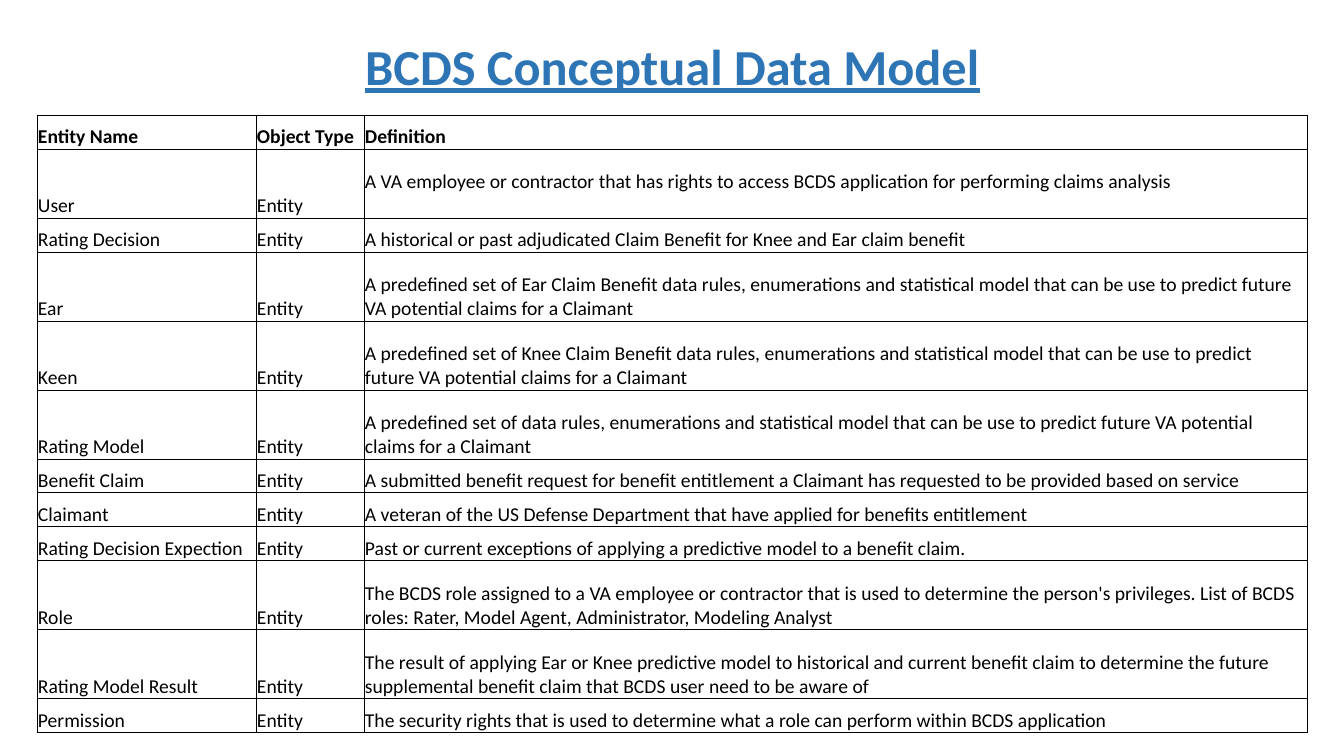
from lxml import etree
from pptx import Presentation
from pptx.dml.color import RGBColor
from pptx.enum.text import MSO_ANCHOR as Anchor, PP_ALIGN as Align
from pptx.oxml.ns import qn
from pptx.util import Pt

PX = 914400 / 100.8
INK, BLUE = "000000", "2E75B6"
COLS = [219, 108, 943]
LOW, HIGH = 34, 69  # row heights for one and two lines
LINE = 24

HEAD = ["Entity Name", "Object Type", "Definition"]
ITEMS = [
    (HIGH, "User", "A VA employee or contractor that has rights to access BCDS application for performing claims analysis"),
    (LOW, "Rating Decision", "A historical or past adjudicated Claim Benefit for Knee and Ear claim benefit"),
    (HIGH, "Ear", "A predefined set of Ear Claim Benefit data rules, enumerations and statistical model that can be use to predict future VA potential claims for a Claimant"),
    (HIGH, "Keen", "A predefined set of Knee Claim Benefit data rules, enumerations and statistical model that can be use to predict future VA potential claims for a Claimant"),
    (HIGH, "Rating Model", "A predefined set of data rules, enumerations and statistical model that can be use to predict future VA potential claims for a Claimant"),
    (LOW, "Benefit Claim", "A submitted benefit request for benefit entitlement a Claimant has requested to be provided based on service"),
    (LOW, "Claimant", "A veteran of the US Defense Department that have applied for benefits entitlement"),
    (LOW, "Rating Decision Expection", "Past or current exceptions of applying a predictive model to a benefit claim."),
    (HIGH, "Role", "The BCDS role assigned to a VA employee or contractor that is used to determine the person's privileges. List of BCDS roles: Rater, Model Agent, Administrator, Modeling Analyst"),
    (HIGH, "Rating Model Result", "The result of applying Ear or Knee predictive model to historical and current benefit claim to determine the future supplemental benefit claim that BCDS user need to be aware of"),
    (LOW, "Permission", "The security rights that is used to determine what a role can perform within BCDS application"),
]


def px(n):
    return round(n * PX)


def style(para, size, tint, bold):
    font = para.font
    font.name, font.size, font.bold = "Calibri", Pt(size), bold
    font.color.rgb = RGBColor.from_string(tint)


deck = Presentation()
deck.slide_width, deck.slide_height = px(1344), px(756)
slide = deck.slides.add_slide(deck.slide_layouts[6])

# Entity table
rows = [(LOW, HEAD)] + [(tall, [name, "Entity", note]) for tall, name, note in ITEMS]
full = sum(tall for tall, _ in rows)
grid = slide.shapes.add_table(
    len(rows), len(COLS), px(37), px(115), px(sum(COLS)), px(full)).table
grid.horz_banding = False
for col, wide in zip(grid.columns, COLS):
    col.width = px(wide)

for r, (tall, texts) in enumerate(rows):
    grid.rows[r].height = px(tall)
    for c, text in enumerate(texts):
        cell = grid.cell(r, c)
        cell.text = text
        cell.vertical_anchor = Anchor.BOTTOM
        cell.margin_left = cell.margin_right = cell.margin_top = px(1)
        # The user definition sits one line above the cell bottom
        cell.margin_bottom = px(LINE if (r, c) == (1, 2) else 0)
        style(cell.text_frame.paragraphs[0], 14, INK, r == 0)

        # Thin black borders, then no fill
        props = cell._tc.get_or_add_tcPr()
        for side in ("a:lnL", "a:lnR", "a:lnT", "a:lnB"):
            edge = etree.SubElement(props, qn(side), w=str(Pt(0.5)))
            paint = etree.SubElement(edge, qn("a:solidFill"))
            etree.SubElement(paint, qn("a:srgbClr"), val=INK)
        cell.fill.background()

# Title
box = slide.shapes.add_textbox(px(241), px(30), px(863), px(71))
box.text_frame.word_wrap = True
title = box.text_frame.paragraphs[0]
title.text = "BCDS Conceptual Data Model"
title.alignment = Align.CENTER
style(title, 36, BLUE, True)
title.font.underline = True

deck.save("out.pptx")
